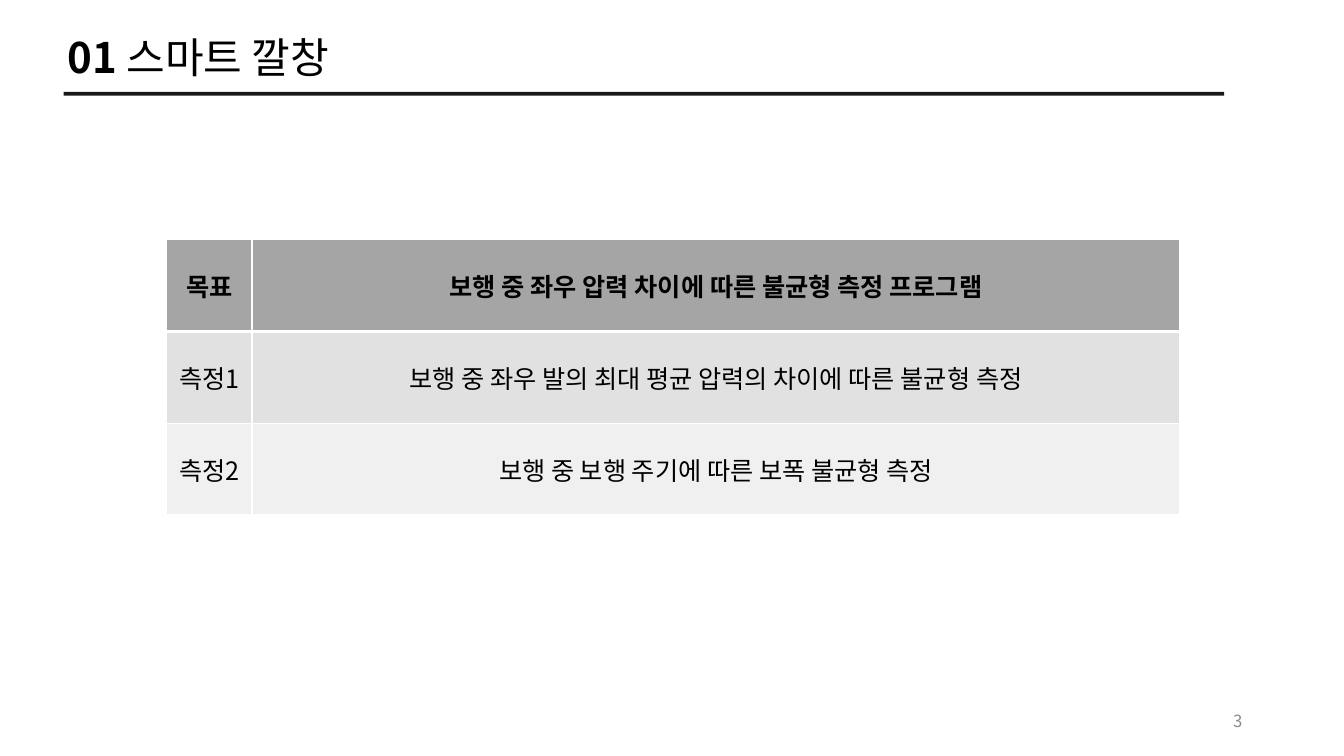
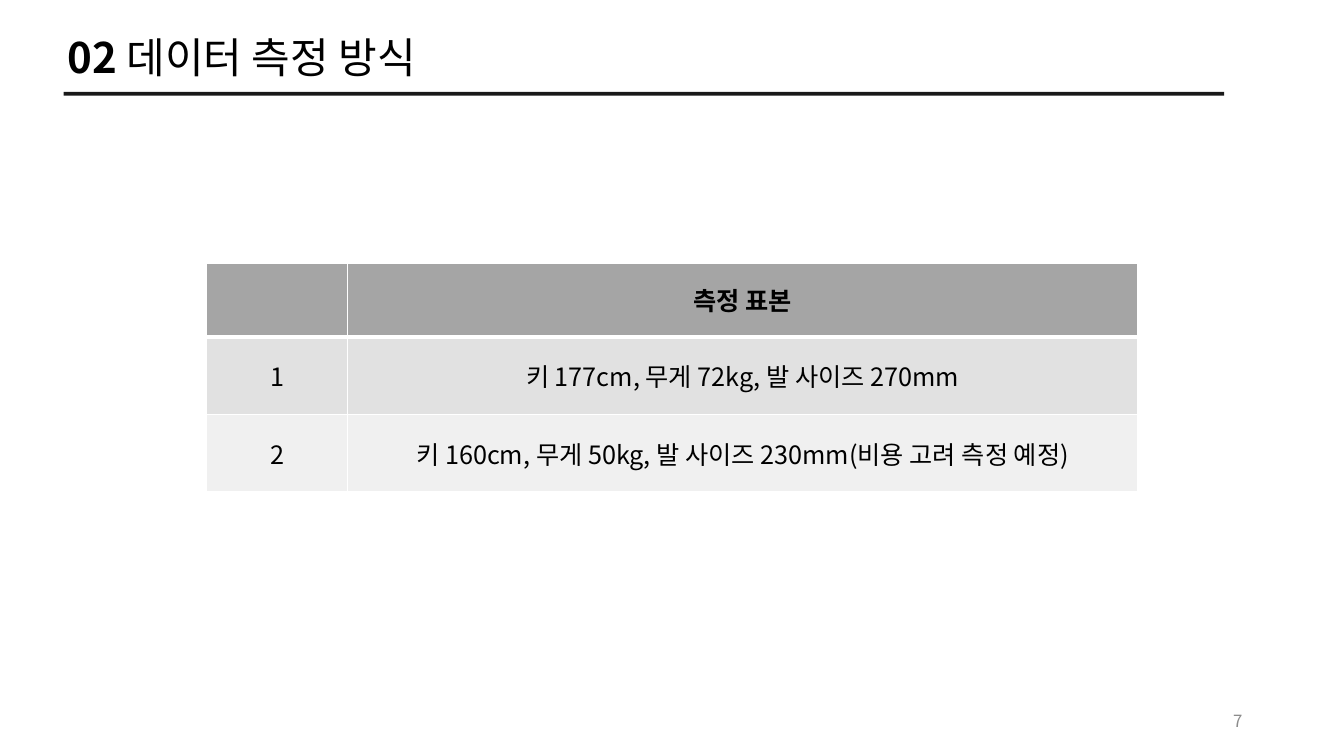
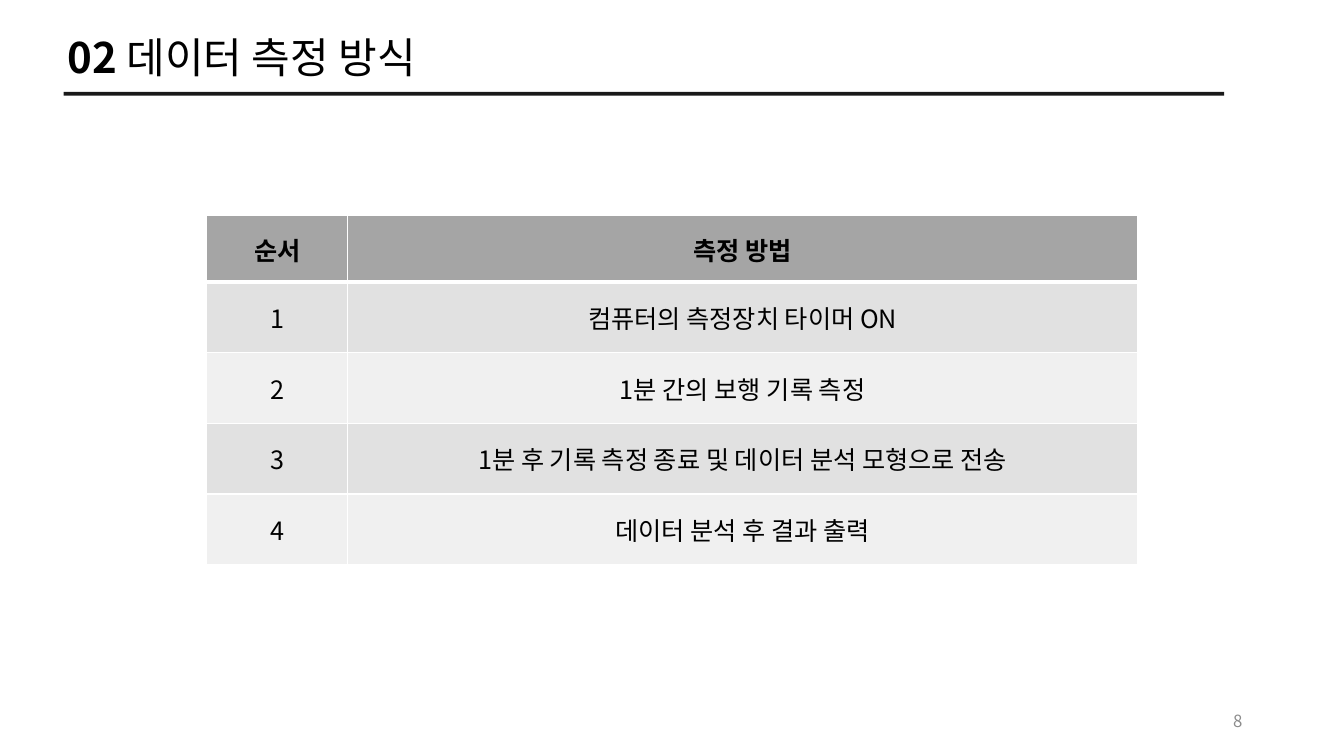
from lxml import etree
from pptx import Presentation
from pptx.dml.color import RGBColor
from pptx.enum.shapes import MSO_CONNECTOR
from pptx.enum.text import MSO_ANCHOR, MSO_AUTO_SIZE, PP_ALIGN
from pptx.oxml.ns import qn
from pptx.util import Inches, Pt

STRAIGHT = MSO_CONNECTOR.STRAIGHT
TOP, MIDDLE = MSO_ANCHOR.TOP, MSO_ANCHOR.MIDDLE
LEFT, CENTER, RIGHT = PP_ALIGN.LEFT, PP_ALIGN.CENTER, PP_ALIGN.RIGHT
NO_FIT = MSO_AUTO_SIZE.NONE

# Shared style
FONT = "Noto Sans CJK KR"
COLORS = {
    "ink": "000000",
    "page_number": "8C8C8C",
    "header": "A5A5A5",
    "band_dark": "E1E1E1",
    "band_light": "F0F0F0",
    "border": "FFFFFF",
}
BANDS = ("band_dark", "band_light")
TITLE_SIZE, TABLE_SIZE, PAGE_SIZE = 30, 18, 12
THIN, THICK = 1, 3

# Content; lengths in inches
SLIDES = [
    {
        "section": "01", "title": "스마트 깔창", "page": "3",
        "left": 1.65, "top": 2.38, "columns": (0.85, 9.2),
        "header_height": 0.91, "row_height": 0.91,
        "rows": [
            ("목표", "보행 중 좌우 압력 차이에 따른 불균형 측정 프로그램"),
            ("측정1", "보행 중 좌우 발의 최대 평균 압력의 차이에 따른 불균형 측정"),
            ("측정2", "보행 중 보행 주기에 따른 보폭 불균형 측정"),
        ],
    },
    {
        "section": "02", "title": "데이터 측정 방식", "page": "7",
        "left": 2.05, "top": 2.61, "columns": (1.4, 7.83),
        "header_height": 0.73, "row_height": 0.77,
        "rows": [
            ("", "측정 표본"),
            ("1", "키 177cm, 무게 72kg, 발 사이즈 270mm"),
            ("2", "키 160cm, 무게 50kg, 발 사이즈 230mm(비용 고려 측정 예정)"),
        ],
    },
    {
        "section": "02", "title": "데이터 측정 방식", "page": "8",
        "left": 2.05, "top": 2.14, "columns": (1.4, 7.83),
        "header_height": 0.66, "row_height": 0.7,
        "rows": [
            ("순서", "측정 방법"),
            ("1", "컴퓨터의 측정장치 타이머 ON"),
            ("2", "1분 간의 보행 기록 측정"),
            ("3", "1분 후 기록 측정 종료 및 데이터 분석 모형으로 전송"),
            ("4", "데이터 분석 후 결과 출력"),
        ],
    },
]


def rgb(name):
    return RGBColor.from_string(COLORS[name])


def add_run(paragraph, text, size, color="ink", bold=False):
    run = paragraph.add_run()
    run.text = text
    run.font.size = Pt(size)
    run.font.bold = bold
    run.font.color.rgb = rgb(color)
    run.font.name = FONT
    # Korean glyphs take the East Asian font
    etree.SubElement(run.font._element, qn("a:ea"), typeface=FONT)


def add_title(slide, section, text):
    title = slide.shapes.title
    title.left, title.top = Inches(0.57), Inches(0.26)
    title.width, title.height = Inches(4.2), Inches(0.94)
    frame = title.text_frame
    frame.auto_size = NO_FIT
    frame.vertical_anchor = TOP
    paragraph = frame.paragraphs[0]
    paragraph.alignment = LEFT
    add_run(paragraph, section + " ", TITLE_SIZE, bold=True)
    add_run(paragraph, text, TITLE_SIZE)


def add_title_rule(slide):
    y = Inches(0.93)
    rule = slide.shapes.add_connector(STRAIGHT, Inches(0.63), y, Inches(12.14), y)
    rule.line.width = Pt(2.75)
    rule.line.color.rgb = rgb("ink")
    color = rule.line._ln.find(".//" + qn("a:srgbClr"))
    etree.SubElement(color, qn("a:alpha"), val="90000")
    etree.SubElement(rule._element.spPr, qn("a:effectLst"))


def add_page_number(slide, number):
    box = slide.shapes.add_textbox(Inches(9.42), Inches(6.95), Inches(3), Inches(0.4))
    frame = box.text_frame
    frame.word_wrap = True
    frame.vertical_anchor = MIDDLE
    paragraph = frame.paragraphs[0]
    paragraph.alignment = RIGHT
    add_run(paragraph, number, PAGE_SIZE, "page_number")


def set_borders(cell, top, bottom):
    properties = cell._tc.get_or_add_tcPr()
    sides = (("a:lnL", THIN), ("a:lnR", THIN), ("a:lnT", top), ("a:lnB", bottom))
    for position, (tag, width) in enumerate(sides):
        line = etree.Element(qn(tag), w=str(Pt(width)))
        fill = etree.SubElement(line, qn("a:solidFill"))
        etree.SubElement(fill, qn("a:srgbClr"), val=COLORS["border"])
        properties.insert(position, line)


def add_measure_table(slide, content):
    rows, columns = content["rows"], content["columns"]
    heights = [content["header_height"]] + [content["row_height"]] * (len(rows) - 1)
    table = slide.shapes.add_table(
        len(rows), len(columns), Inches(content["left"]), Inches(content["top"]),
        Inches(sum(columns)), Inches(sum(heights))).table
    for column, width in zip(table.columns, columns):
        column.width = Inches(width)
    for r, (texts, height) in enumerate(zip(rows, heights)):
        table.rows[r].height = Inches(height)
        is_header = r == 0
        for c, text in enumerate(texts):
            cell = table.cell(r, c)
            cell.vertical_anchor = MIDDLE
            cell.fill.solid()
            cell.fill.fore_color.rgb = rgb("header" if is_header else BANDS[(r - 1) % 2])
            # The thick border separates the header from the body
            set_borders(cell, THICK if r == 1 else THIN, THICK if is_header else THIN)
            if text:
                paragraph = cell.text_frame.paragraphs[0]
                paragraph.alignment = CENTER
                add_run(paragraph, text, TABLE_SIZE, bold=is_header)


def main():
    deck = Presentation()
    deck.slide_width, deck.slide_height = Inches(13.33), Inches(7.5)
    title_only = deck.slide_layouts[5]
    for content in SLIDES:
        slide = deck.slides.add_slide(title_only)
        add_title(slide, content["section"], content["title"])
        add_title_rule(slide)
        add_page_number(slide, content["page"])
        add_measure_table(slide, content)
    deck.save("out.pptx")


if __name__ == "__main__":
    main()
